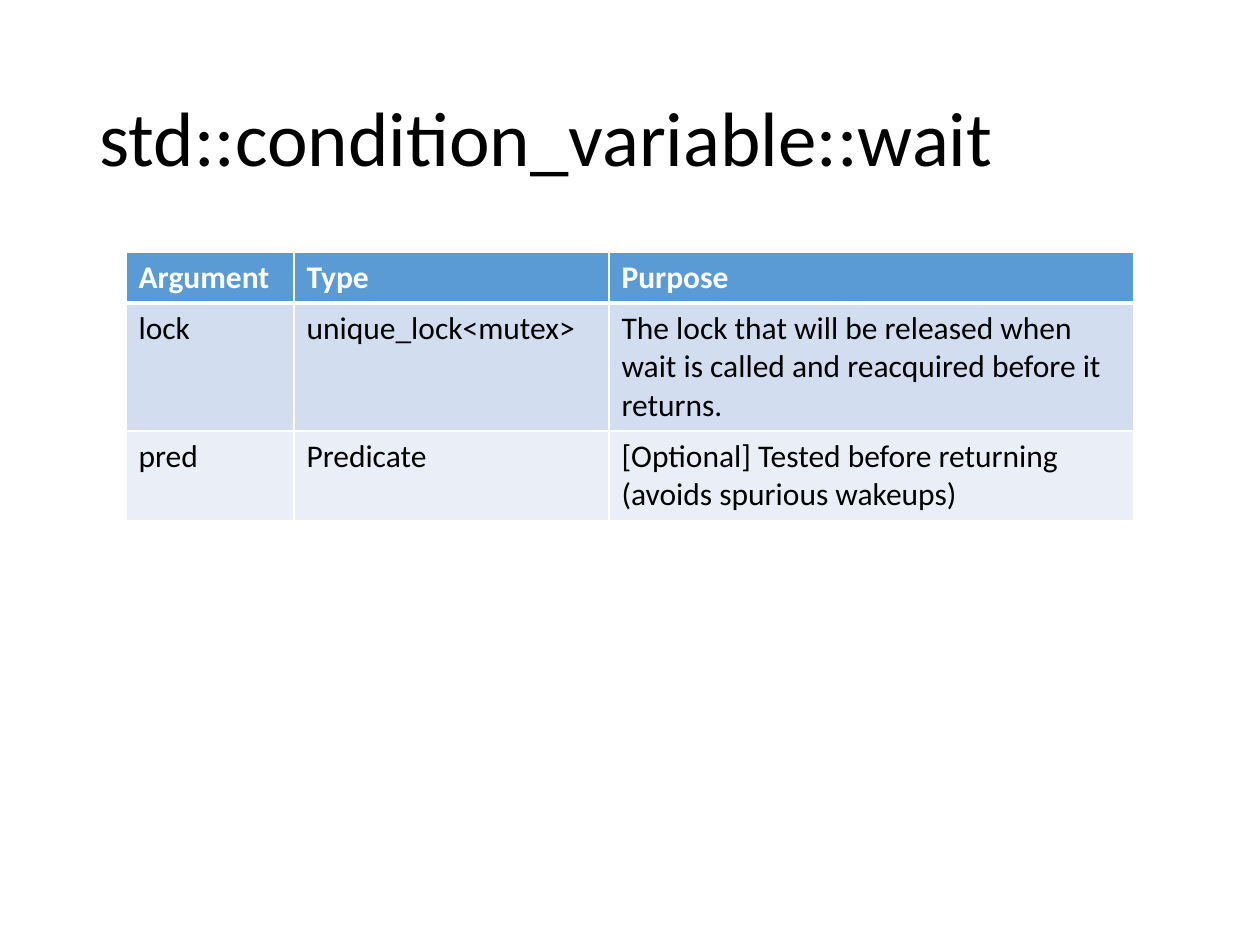
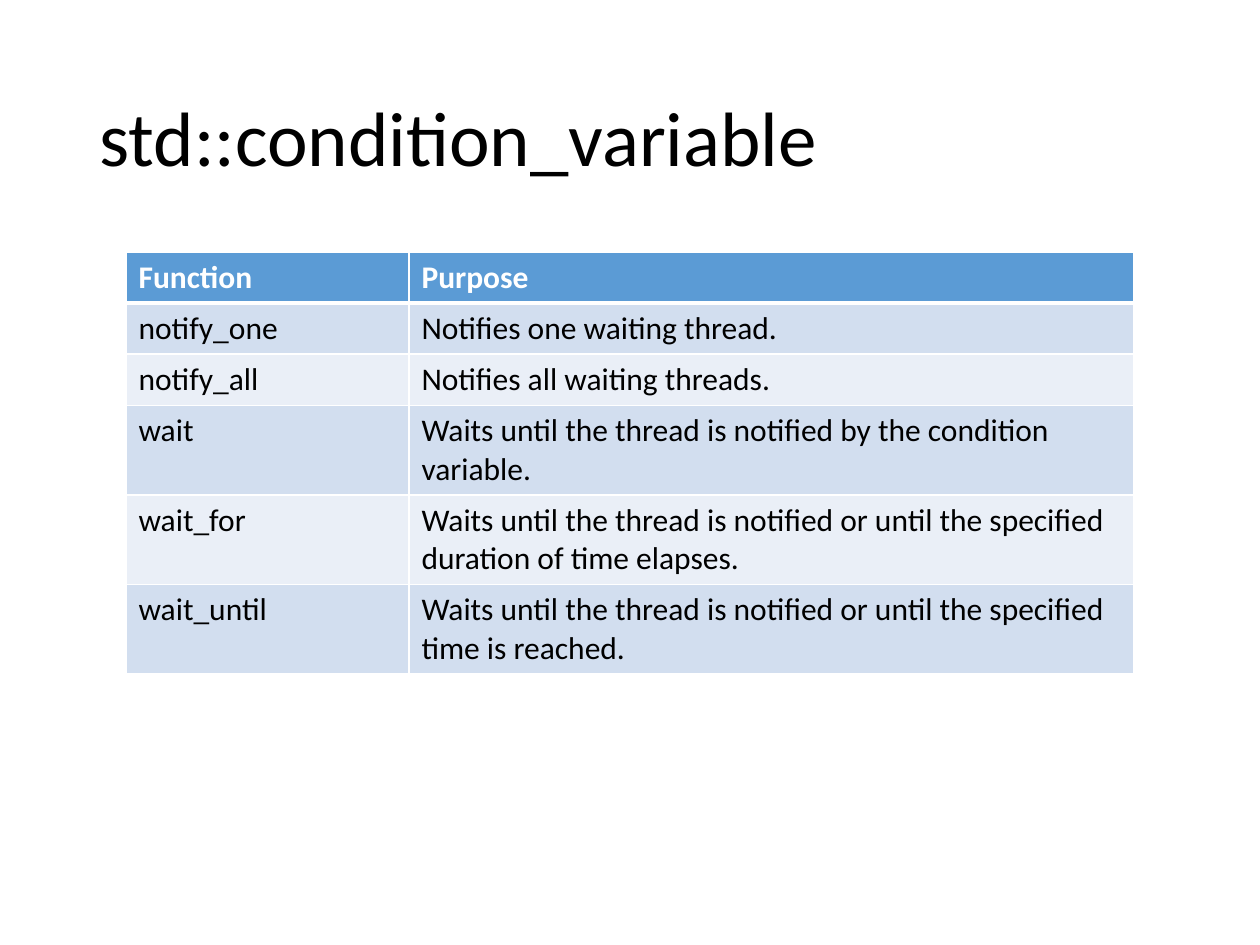
import dataclasses

import lxml.etree
import pptx
import pptx.dml.color
import pptx.enum.text
import pptx.oxml.ns
import pptx.util

SLIDES = [
    {
        "title": "std::condition_variable::wait",
        "columns": [168, 315, 525],
        "rows": [
            ("Argument", "Type", "Purpose"),
            ("lock", "unique_lock<mutex>",
             "The lock that will be released when wait is called and reacquired before it returns."),
            ("pred", "Predicate", "[Optional] Tested before returning (avoids spurious wakeups)"),
        ],
    },
    {
        "title": "std::condition_variable",
        "columns": [283, 725],
        "rows": [
            ("Function", "Purpose"),
            ("notify_one", "Notifies one waiting thread."),
            ("notify_all", "Notifies all waiting threads."),
            ("wait", "Waits until the thread is notified by the condition variable."),
            ("wait_for",
             "Waits until the thread is notified or until the specified duration of time elapses."),
            ("wait_until",
             "Waits until the thread is notified or until the specified time is reached."),
        ],
    },
]


@dataclasses.dataclass(frozen=True)
class Theme:
    font: str = "Calibri"
    title_size: int = 44
    table_size: int = 18
    text: str = "000000"
    background: str = "FFFFFF"
    header_text: str = "FFFFFF"
    header_fill: str = "5B9BD5"
    band_fills: tuple = ("D2DEEF", "EAEFF7")
    border: str = "FFFFFF"
    border_width: int = 1
    header_rule_width: int = 3


THEME = Theme()
PIXELS_PER_INCH = 126
SLIDE_SIZE = (1260, 945)
TITLE_BOX = (87, 50, 1086, 183)
TABLE_ORIGIN = (126, 252)
ROW_HEIGHT = 51
TITLE_ONLY_LAYOUT = 5


def px(length):
    return pptx.util.Emu(round(length * pptx.util.Inches(1) / PIXELS_PER_INCH))


def rgb(color):
    return pptx.dml.color.RGBColor.from_string(color)


def add_text(paragraph, text, size, color, bold=False):
    run = paragraph.add_run()
    run.text = text
    run.font.name = THEME.font
    run.font.size = pptx.util.Pt(size)
    run.font.bold = bold
    run.font.color.rgb = rgb(color)


def set_borders(cell, widths):
    qn = pptx.oxml.ns.qn
    properties = cell._tc.get_or_add_tcPr()
    for side, width in widths.items():
        line = lxml.etree.SubElement(properties, qn(f"a:ln{side}"), w=str(pptx.util.Pt(width)))
        fill = lxml.etree.SubElement(line, qn("a:solidFill"))
        lxml.etree.SubElement(fill, qn("a:srgbClr"), val=THEME.border)


def add_title(slide, text):
    title = slide.shapes.title
    title.left, title.top, title.width, title.height = map(px, TITLE_BOX)
    frame = title.text_frame
    frame.word_wrap = True
    frame.vertical_anchor = pptx.enum.text.MSO_ANCHOR.MIDDLE
    paragraph = frame.paragraphs[0]
    paragraph.alignment = pptx.enum.text.PP_ALIGN.LEFT
    paragraph.line_spacing = 0.9
    add_text(paragraph, text, THEME.title_size, THEME.text)


def style_cell(cell, text, row_index):
    is_header = row_index == 0
    widths = dict.fromkeys("LRTB", THEME.border_width)
    if is_header:
        widths["B"] = THEME.header_rule_width
    elif row_index == 1:
        widths["T"] = THEME.header_rule_width
    set_borders(cell, widths)
    band = THEME.band_fills[(row_index - 1) % len(THEME.band_fills)]
    cell.fill.solid()
    cell.fill.fore_color.rgb = rgb(THEME.header_fill if is_header else band)
    color = THEME.header_text if is_header else THEME.text
    add_text(cell.text_frame.paragraphs[0], text, THEME.table_size, color, is_header)


def add_grid(slide, columns, rows):
    left, top = TABLE_ORIGIN
    table = slide.shapes.add_table(
        len(rows), len(columns),
        px(left), px(top), px(sum(columns)), px(ROW_HEIGHT * len(rows)),
    ).table
    for column, width in zip(table.columns, columns):
        column.width = px(width)
    for row_index, texts in enumerate(rows):
        table.rows[row_index].height = px(ROW_HEIGHT)
        for column_index, text in enumerate(texts):
            style_cell(table.cell(row_index, column_index), text, row_index)


def main():
    presentation = pptx.Presentation()
    presentation.slide_width, presentation.slide_height = map(px, SLIDE_SIZE)
    background = presentation.slide_master.background.fill
    background.solid()
    background.fore_color.rgb = rgb(THEME.background)
    for content in SLIDES:
        slide = presentation.slides.add_slide(presentation.slide_layouts[TITLE_ONLY_LAYOUT])
        add_title(slide, content["title"])
        add_grid(slide, content["columns"], content["rows"])
    presentation.save("out.pptx")


if __name__ == "__main__":
    main()
